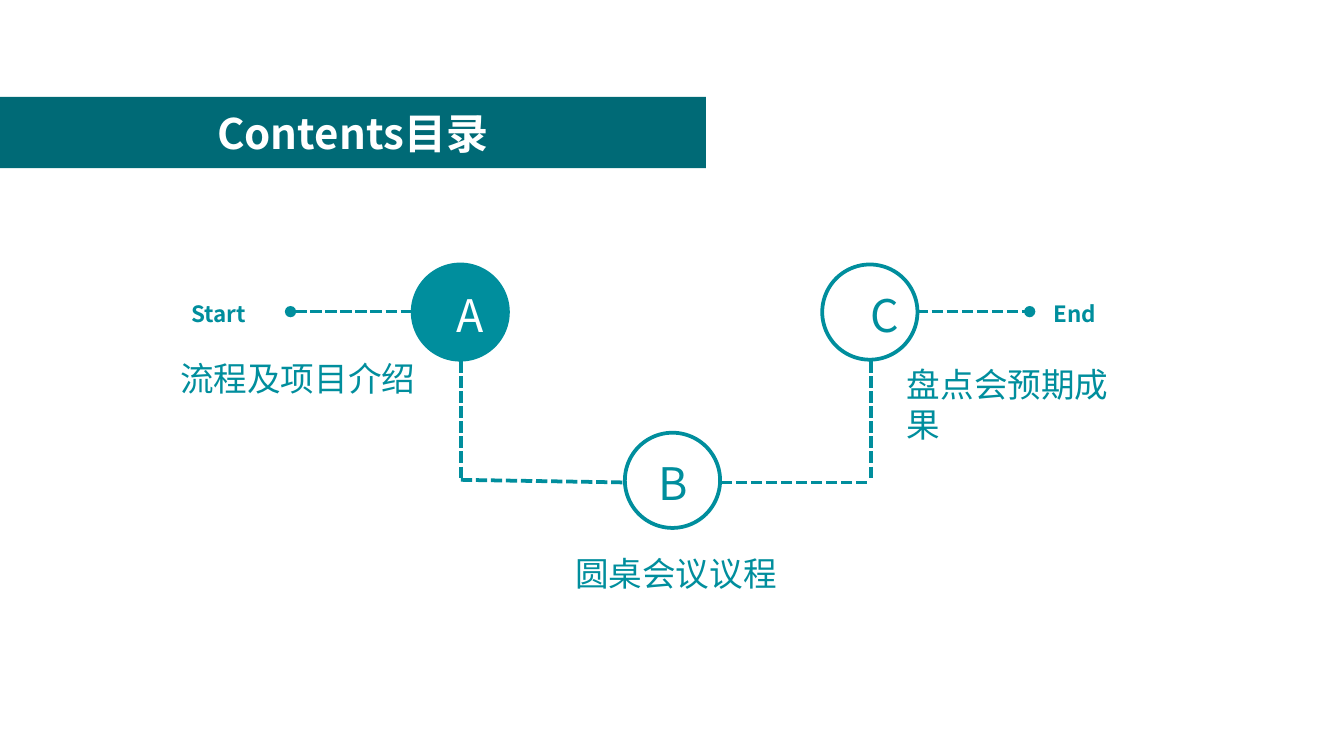
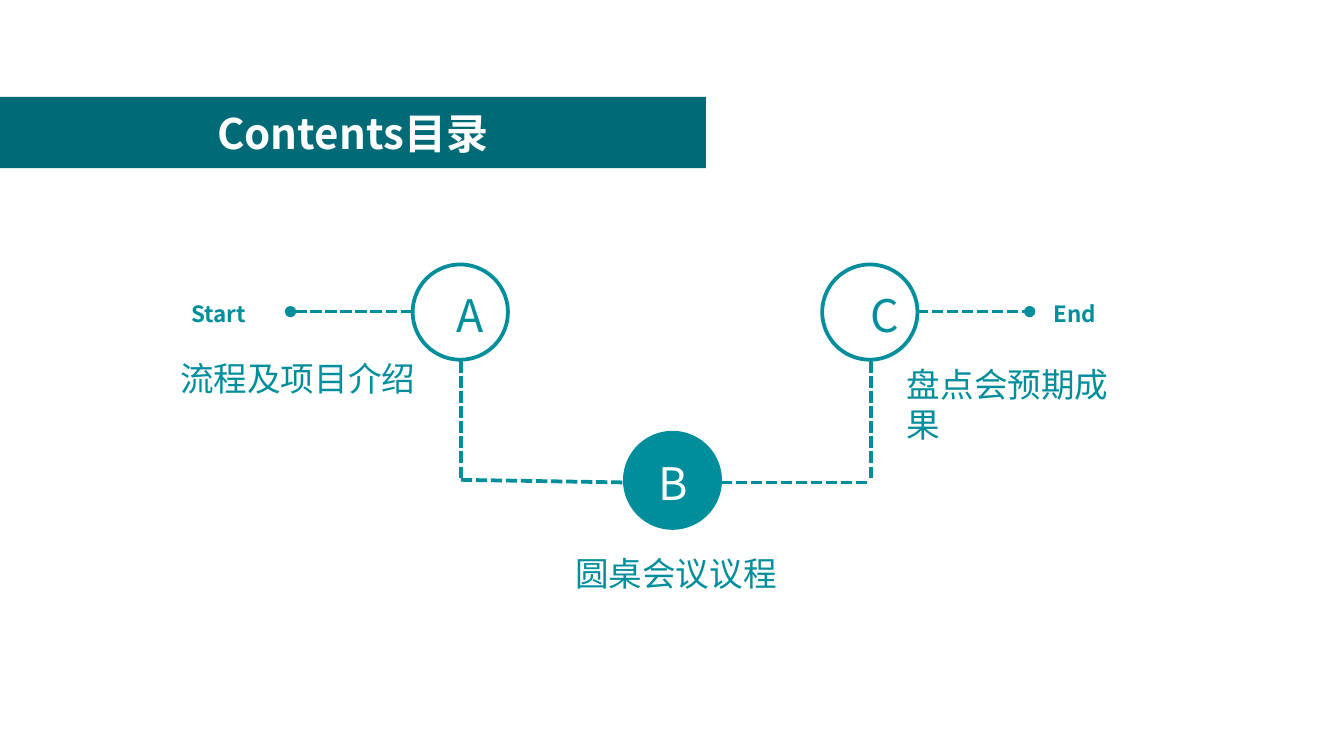
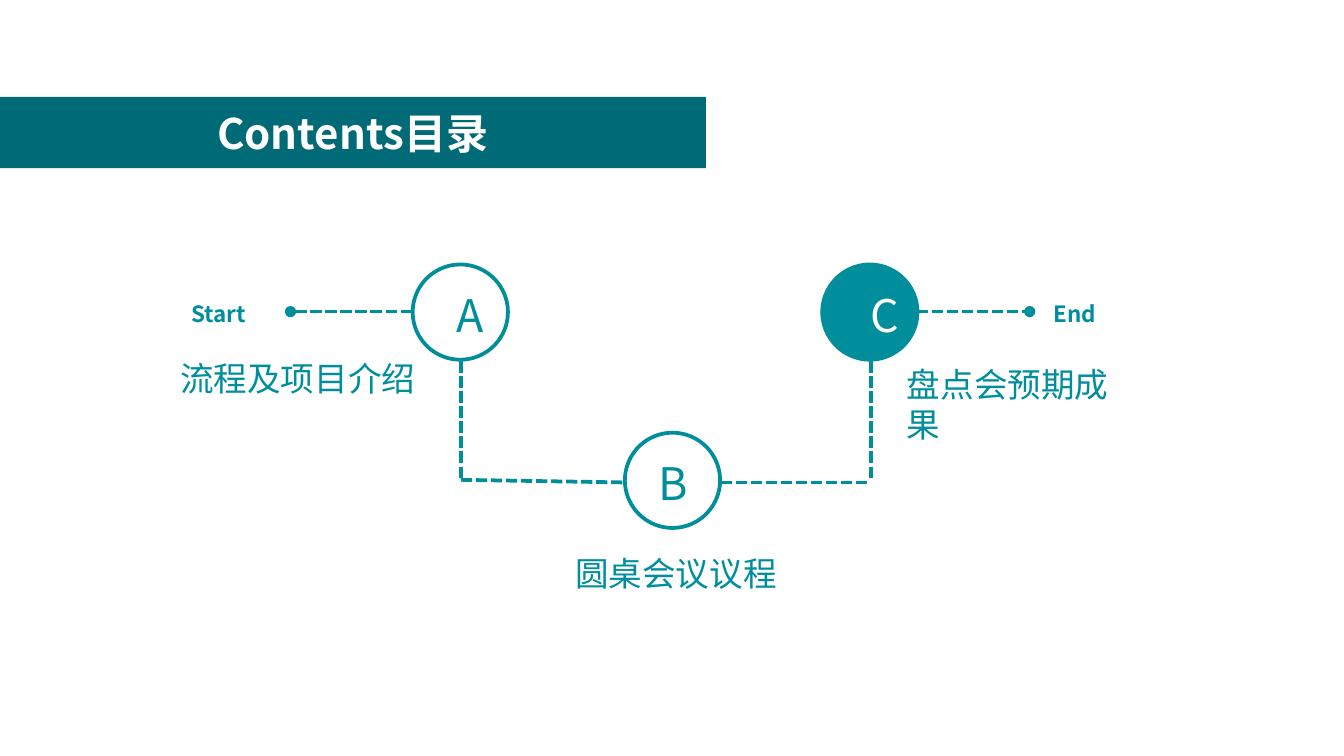
from pptx import Presentation
from pptx.dml.color import RGBColor
from pptx.enum.dml import MSO_LINE_DASH_STYLE as DASH
from pptx.enum.shapes import MSO_CONNECTOR as CONNECTOR, MSO_SHAPE as SHAPE
from pptx.enum.text import MSO_ANCHOR as ANCHOR, MSO_AUTO_SIZE as AUTO_SIZE, PP_ALIGN as ALIGN
from pptx.oxml.ns import qn
from pptx.util import Cm, Pt
from lxml.etree import SubElement

TEAL, DARK_TEAL, WHITE = "008E9D", "006A76", "FFFFFF"
DIAMETER = 1.8

# Stops: letter, circle left and top, letter box
STOPS = [
    ("A", (7.8, 5), (8.38, 5.31, 0.64, 1.27)),
    ("B", (11.81, 8.18), (11.96, 8.48, 1.52, 1.3)),
    ("C", (15.54, 5), (16.21, 5.31, 0.51, 1.27)),
]
TOPICS = [
    ("流程及项目介绍", (3.07, 6.71, 4.88, 3.05), ALIGN.RIGHT),
    ("圆桌会议议程", (9.73, 10.41, 5.05, 1.45), ALIGN.RIGHT),
    ("盘点会预期成果", (17.04, 6.83, 4.14, 3.66), ALIGN.LEFT),
]
ENDS = [("Start", 2.18), ("End", 18.24)]

# Route: start, end, and the line end that carries a dot
ROUTE = [
    ((13.34, 9.12), (16.46, 9.12), None),
    ((16.46, 6.83), (16.46, 9.07), None),
    ((17.04, 5.89), (19.46, 5.89), "tailEnd"),
    ((8.71, 9.07), (11.79, 9.12), None),
    ((5.49, 5.89), (7.8, 5.89), "headEnd"),
    ((8.71, 6.83), (8.71, 9.07), None),
]


def color(value):
    return RGBColor.from_string(value)


def apply(target, values):
    for name, value in values.items():
        setattr(target, name, value)


class Deck:
    font = "Noto Sans CJK SC"
    line_width = Pt(2)

    def __init__(self):
        self.presentation = Presentation()
        apply(self.presentation, {"slide_width": Cm(25.4), "slide_height": Cm(14.29)})
        self.slide = None

    def add_slide(self):
        self.slide = self.presentation.slides.add_slide(self.presentation.slide_layouts[6])

    def fill_text(self, shape, text, size, ink, align, bold=False, insets=(0.25, 0.13),
                  before=0, hanging=0, **frame_values):
        frame = shape.text_frame
        side, end = map(Cm, insets)
        apply(frame, {"word_wrap": True, "margin_left": side, "margin_right": side,
                      "margin_top": end, "margin_bottom": end, **frame_values})
        paragraph = frame.paragraphs[0]
        apply(paragraph, {"alignment": align, "space_before": Pt(before)})
        if hanging:
            properties = paragraph._p.get_or_add_pPr()
            properties.set("marL", str(Cm(hanging)))
            properties.set("indent", str(-Cm(hanging)))
        run = paragraph.add_run()
        run.text = text
        apply(run.font, {"name": self.font, "size": Pt(size), "bold": bold})
        run.font.color.rgb = color(ink)
        SubElement(run._r.get_or_add_rPr(), qn("a:ea"), typeface=self.font)

    def text(self, box, *content, **style):
        shape = self.slide.shapes.add_textbox(*map(Cm, box))
        self.fill_text(shape, *content, **style)

    def shape(self, kind, box, fill, outline=None):
        shape = self.slide.shapes.add_shape(kind, *map(Cm, box))
        shape.shadow.inherit = False
        shape.fill.solid()
        shape.fill.fore_color.rgb = color(fill)
        if outline:
            shape.line.color.rgb = color(outline)
            shape.line.width = self.line_width
        else:
            shape.line.fill.background()
        return shape

    def dashed_line(self, start, end, dot=None):
        connector = self.slide.shapes.add_connector(
            CONNECTOR.STRAIGHT, *map(Cm, start + end))
        connector.line.color.rgb = color(TEAL)
        apply(connector.line, {"width": self.line_width, "dash_style": DASH.SQUARE_DOT})
        properties = connector._element.spPr
        if dot:
            SubElement(properties.find(qn("a:ln")), qn(f"a:{dot}"), type="oval")
        SubElement(properties, qn("a:effectLst"))

    def title_band(self, text):
        band = self.shape(SHAPE.RECTANGLE, (0, 1.83, 13.34, 1.35), DARK_TEAL)
        self.fill_text(band, text, 22.5, WHITE, ALIGN.CENTER, bold=True,
                       insets=(0.18, 0.1), vertical_anchor=ANCHOR.MIDDLE)


def add_contents(deck, current):
    deck.add_slide()
    # Route and stops
    for start, end, dot in ROUTE:
        deck.dashed_line(start, end, dot)
    for letter, corner, letter_box in STOPS:
        fill, ink = (TEAL, WHITE) if letter == current else (WHITE, TEAL)
        deck.shape(SHAPE.OVAL, (*corner, DIAMETER, DIAMETER), fill, TEAL)
        deck.text(letter_box, letter, 24, ink, ALIGN.CENTER,
                  auto_size=AUTO_SIZE.SHAPE_TO_FIT_TEXT)
    # Labels
    for label, left in ENDS:
        deck.text((left, 5.54, 2.72, 0.76), label, 12, TEAL, ALIGN.RIGHT, bold=True,
                  before=2.4, hanging=0.41, auto_size=AUTO_SIZE.SHAPE_TO_FIT_TEXT)
    for topic, box, align in TOPICS:
        deck.text(box, topic, 18, TEAL, align, insets=(0.1, 0.05), before=3.6)
    deck.title_band("Contents目录")


def main():
    deck = Deck()
    for letter, *_ in STOPS:
        add_contents(deck, letter)
    deck.presentation.save("out.pptx")


if __name__ == "__main__":
    main()
